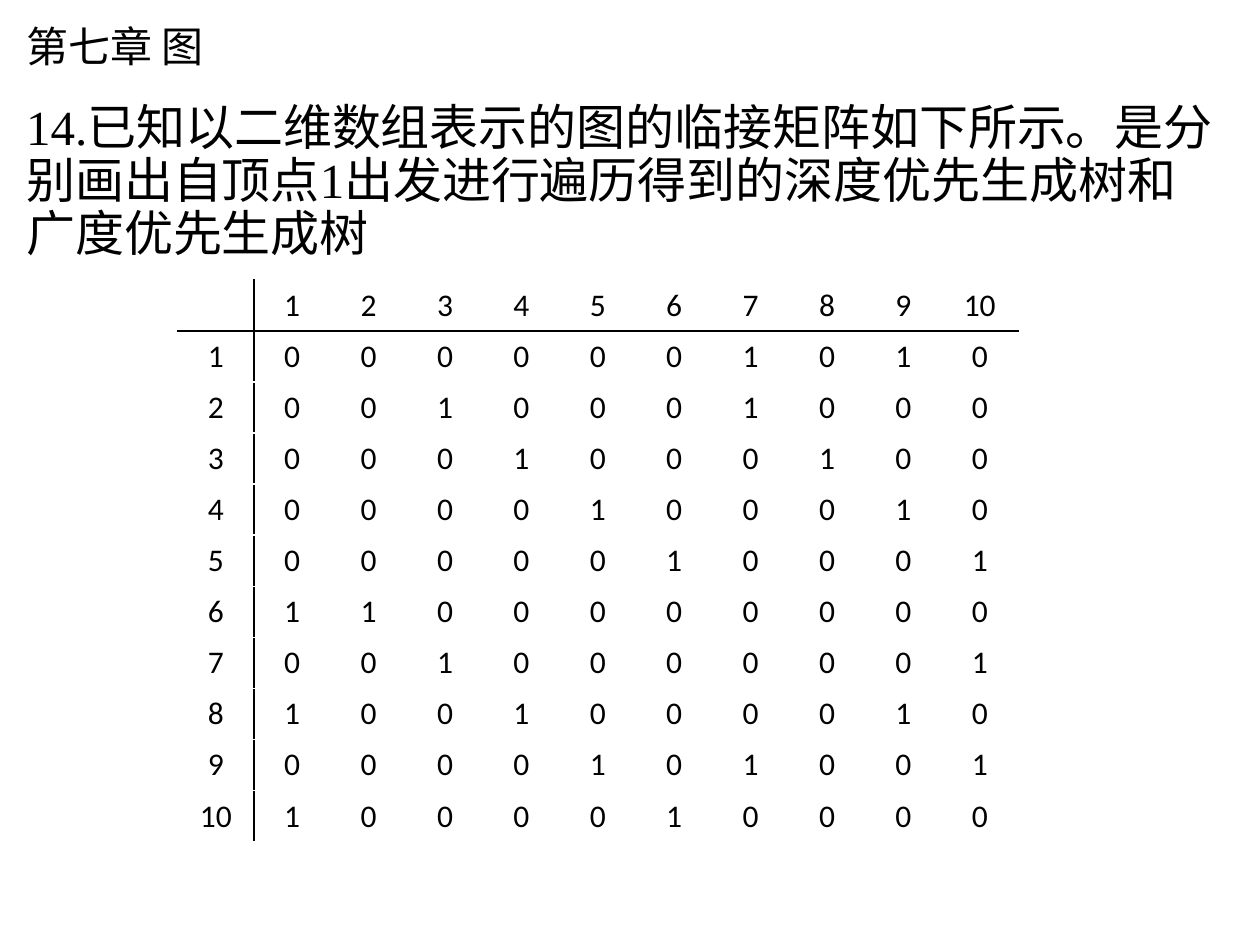
from dataclasses import dataclass

import lxml.etree
import pptx
import pptx.dml.color
import pptx.enum.text
import pptx.oxml.ns
import pptx.util

HEADING = "第七章 图"
QUESTION = "14.已知以二维数组表示的图的临接矩阵如下所示。是分别画出自顶点1出发进行遍历得到的深度优先生成树和广度优先生成树"
NEIGHBOURS = {
    1: (7, 9), 2: (3, 7), 3: (4, 8), 4: (5, 9), 5: (6, 10),
    6: (1, 2), 7: (3, 10), 8: (1, 4, 9), 9: (5, 7, 10), 10: (1, 6),
}


@dataclass(frozen=True)
class Theme:
    ink: str = "000000"
    paper: str = "FFFFFF"
    text_font: str = "Times New Roman"
    table_font: str = "Calibri"
    heading_size: float = 24
    question_size: float = 28
    table_size: float = 18
    rule_width: float = 1


def write_text(frame, text, *, font, size, color, align=None,
               anchor=pptx.enum.text.MSO_ANCHOR.TOP, line_spacing=None, space_before=0):
    frame.word_wrap = True
    frame.vertical_anchor = anchor
    paragraph = frame.paragraphs[0]
    paragraph.alignment = align
    paragraph.line_spacing = line_spacing
    paragraph.space_before = pptx.util.Pt(space_before)
    run = paragraph.add_run()
    run.text = text
    run.font.name = font
    run.font.size = pptx.util.Pt(size)
    run.font.color.rgb = pptx.dml.color.RGBColor.from_string(color)


def adjacency_rows(neighbours):
    """Return the matrix as text, with vertex numbers along the top and left."""
    vertices = sorted(neighbours)
    yield ["", *map(str, vertices)]
    for start in vertices:
        yield [str(start), *(str(int(end in neighbours[start])) for end in vertices)]


class SlideBuilder:
    def __init__(self, presentation, theme):
        self.theme = theme
        self.width, self.height = presentation.slide_width, presentation.slide_height
        self.slide = presentation.slides.add_slide(presentation.slide_layouts[6])
        fill = self.slide.background.fill
        fill.solid()
        fill.fore_color.rgb = pptx.dml.color.RGBColor.from_string(theme.paper)

    def place(self, left, top, width, height):
        """Turn shares of the slide's size into lengths."""
        return (int(left * self.width), int(top * self.height),
                int(width * self.width), int(height * self.height))

    def text(self, box, text, **text_format):
        shape = self.slide.shapes.add_textbox(*self.place(*box))
        write_text(shape.text_frame, text, font=self.theme.text_font,
                   color=self.theme.ink, line_spacing=0.9, **text_format)

    def rule(self, cell, sides):
        """Draw the cell borders named by sides, a string of L, R, T and B."""
        properties = cell._tc.get_or_add_tcPr()
        for index, side in enumerate(side for side in "LRTB" if side in sides):
            line = lxml.etree.Element(pptx.oxml.ns.qn(f"a:ln{side}"),
                                      w=str(pptx.util.Pt(self.theme.rule_width)))
            fill = lxml.etree.SubElement(line, pptx.oxml.ns.qn("a:solidFill"))
            lxml.etree.SubElement(fill, pptx.oxml.ns.qn("a:srgbClr"), val=self.theme.ink)
            properties.insert(index, line)

    def matrix(self, box, rows):
        """Add a table with one rule under its first row and one after its first column."""
        rows = list(rows)
        table = self.slide.shapes.add_table(len(rows), len(rows[0]), *self.place(*box)).table
        table.first_row = table.horz_banding = False
        for row_index, row in enumerate(rows):
            for column_index, value in enumerate(row):
                cell = table.cell(row_index, column_index)
                cell.fill.background()
                cell.vertical_anchor = pptx.enum.text.MSO_ANCHOR.MIDDLE
                if value:
                    write_text(cell.text_frame, value, font=self.theme.table_font,
                               size=self.theme.table_size, color=self.theme.ink,
                               align=pptx.enum.text.PP_ALIGN.CENTER, anchor=None)
                sides = {0: "R", 1: "L"}.get(column_index, "")
                sides += {0: "B", 1: "T"}.get(row_index, "")
                self.rule(cell, sides)


def main():
    presentation = pptx.Presentation()
    presentation.slide_width = pptx.util.Inches(10)
    presentation.slide_height = pptx.util.Inches(7.5)
    theme = Theme()
    builder = SlideBuilder(presentation, theme)
    builder.text((0.011, -0.045, 0.862, 0.193), HEADING, size=theme.heading_size,
                 anchor=pptx.enum.text.MSO_ANCHOR.MIDDLE)
    builder.text((0.011, 0.103, 0.971, 0.864), QUESTION, size=theme.question_size,
                 space_before=10)
    builder.matrix((0.141, 0.296, 0.667, 0.595), adjacency_rows(NEIGHBOURS))
    presentation.save("out.pptx")


if __name__ == "__main__":
    main()
